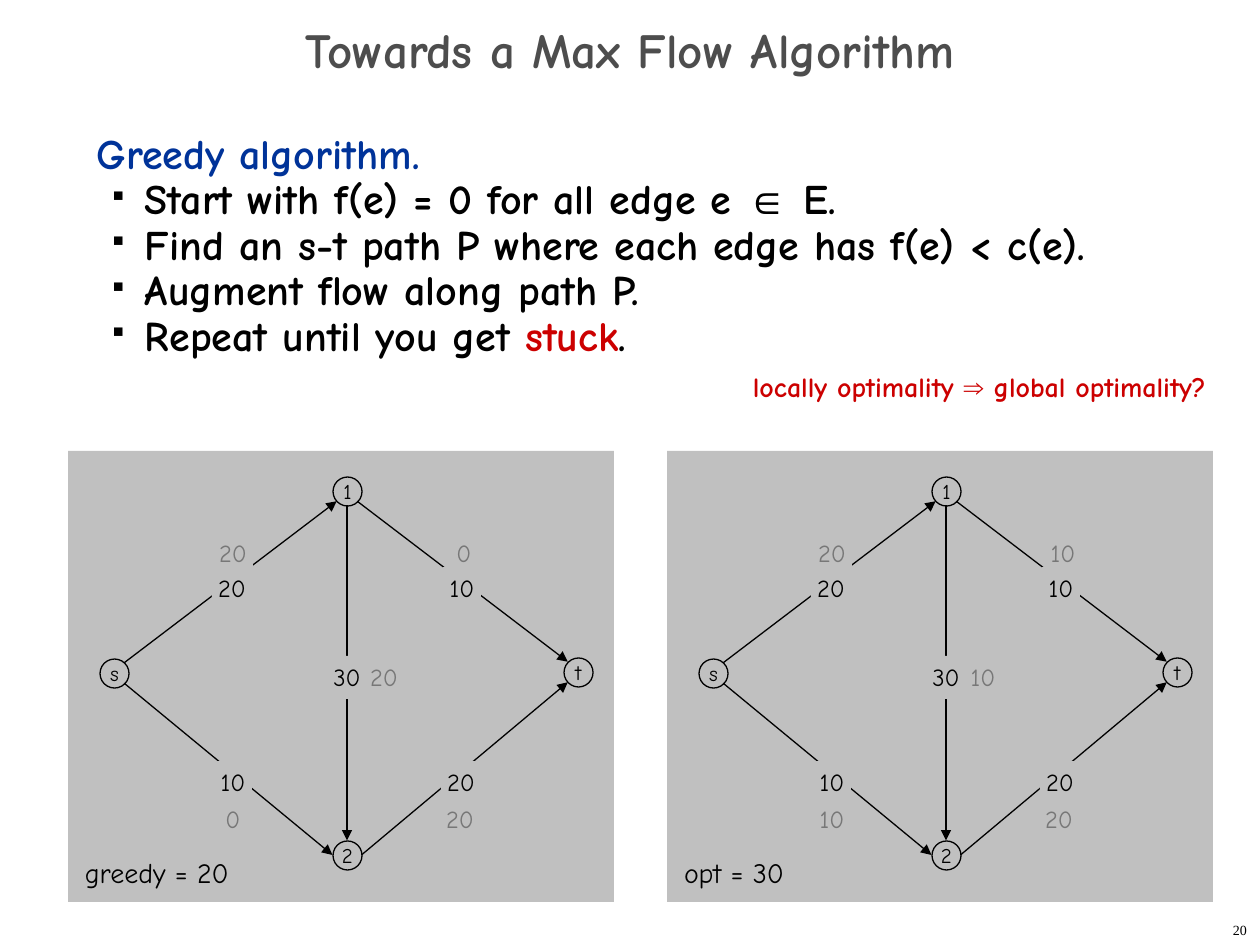
"""Build a slide comparing a greedy flow with an optimal flow."""
import math
from dataclasses import dataclass

import pptx
import pptx.dml.color
import pptx.enum.shapes
import pptx.enum.text
import pptx.oxml
import pptx.oxml.ns
import pptx.shapes.autoshape
import pptx.slide
import pptx.util

Align = pptx.enum.text.PP_ALIGN
Anchor = pptx.enum.text.MSO_ANCHOR
Preset = pptx.enum.shapes.MSO_SHAPE
EMU_PER_PX = 914400 / 126


@dataclass(frozen=True)
class Theme:
    font: str = "Comic Neue"
    symbol_font: str = "Arial"
    number_font: str = "Times New Roman"
    black: str = "000000"
    gray: str = "777777"
    panel: str = "C0C0C0"
    title: str = "4D4D4D"
    blue: str = "003399"
    red: str = "CC0000"
    title_size: int = 28
    body_size: int = 24
    note_size: int = 16
    label_size: int = 14
    node_size: int = 12
    number_size: int = 8
    leading: int = 26
    line_width: float = 0.75


THEME = Theme()


@dataclass(frozen=True)
class Run:
    text: str
    color: str = THEME.black
    size: int = THEME.label_size
    font: str = THEME.font
    bold: bool = False


@dataclass(frozen=True)
class Box:
    left: int
    top: int
    width: int
    height: int


@dataclass(frozen=True)
class Node:
    name: str
    x: int
    y: int


@dataclass(frozen=True)
class Edge:
    start: str
    start_angle: int
    end: str
    end_angle: int


@dataclass(frozen=True)
class Label:
    center: int
    top: int


@dataclass(frozen=True)
class Panel:
    left: int
    caption: str
    flows: tuple[str, ...]


PANEL_TOP, PANEL_WIDTH, PANEL_HEIGHT = 451, 546, 451
NODE_DIAMETER, LABEL_HEIGHT = 29, 43
LABEL_WIDTHS = {"0": 28, "10": 38, "20": 40, "30": 40}
NODES = (Node("s", 46, 222), Node("1", 279, 40), Node("2", 279, 404), Node("t", 510, 221))
EDGES = (
    Edge("s", -45, "1", 135),
    Edge("s", 45, "2", 180),
    Edge("2", 0, "t", 135),
    Edge("1", 90, "2", -90),
    Edge("1", 45, "t", -135),
)
CAPACITIES = ("20", "10", "10", "20", "30")
CAPACITY_LABELS = (Label(164, 116), Label(394, 116), Label(165, 310), Label(393, 310), Label(279, 205))
FLOW_LABELS = (Label(165, 81), Label(396, 81), Label(165, 347), Label(392, 347), Label(316, 205))
PANELS = (
    Panel(68, "greedy = 20", ("20", "0", "0", "20", "20")),
    Panel(667, "opt = 30", ("20", "10", "10", "20", "10")),
)


def body_run(text: str, color: str = THEME.black, font: str = THEME.font) -> Run:
    return Run(text, color, THEME.body_size, font, font == THEME.font)


def note_run(text: str, font: str = THEME.font) -> Run:
    return Run(text, THEME.red, THEME.note_size, font, True)


BODY = (
    (body_run("Greedy algorithm.", THEME.blue),),
    (body_run("Start with f(e) = 0 for all edge e "), body_run("∈", font=THEME.symbol_font), body_run(" E.")),
    (body_run("Find an s-t path P where each edge has f(e) < c(e)."),),
    (body_run("Augment flow along path P."),),
    (body_run("Repeat until you get "), body_run("stuck", THEME.red), body_run(".")),
)


def px(length: float) -> pptx.util.Emu:
    return pptx.util.Emu(round(length * EMU_PER_PX))


def rgb(color: str) -> pptx.dml.color.RGBColor:
    return pptx.dml.color.RGBColor.from_string(color)


def add_runs(paragraph, runs: tuple[Run, ...]) -> None:
    for item in runs:
        run = paragraph.add_run()
        run.text = item.text
        run.font.name = item.font
        run.font.size = pptx.util.Pt(item.size)
        run.font.bold = item.bold
        run.font.color.rgb = rgb(item.color)


def add_text(slide: pptx.slide.Slide, box: Box, runs: tuple[Run, ...], align=Align.LEFT,
             anchor=Anchor.TOP, wrap: bool = False, inset: tuple[int, int] = (13, 6)):
    shape = slide.shapes.add_textbox(px(box.left), px(box.top), px(box.width), px(box.height))
    set_text(shape, runs, align, anchor, wrap, inset)
    return shape


def set_text(shape, runs: tuple[Run, ...], align, anchor, wrap: bool, inset: tuple[int, int]) -> None:
    frame = shape.text_frame
    frame.word_wrap = wrap
    frame.vertical_anchor = anchor
    frame.margin_left = frame.margin_right = px(inset[0])
    frame.margin_top = frame.margin_bottom = px(inset[1])
    frame.paragraphs[0].alignment = align
    add_runs(frame.paragraphs[0], runs)


def add_filled(slide: pptx.slide.Slide, preset, box: Box, outlined: bool = False) -> pptx.shapes.autoshape.Shape:
    shape = slide.shapes.add_shape(preset, px(box.left), px(box.top), px(box.width), px(box.height))
    shape.shadow.inherit = False
    shape.fill.solid()
    shape.fill.fore_color.rgb = rgb(THEME.panel)
    if outlined:
        shape.line.color.rgb = rgb(THEME.black)
        shape.line.width = pptx.util.Pt(THEME.line_width)
    else:
        shape.line.fill.background()
    return shape


def add_body(slide: pptx.slide.Slide) -> None:
    frame = add_text(slide, Box(84, 126, 1081, 746), BODY[0], wrap=True).text_frame
    for runs in BODY[1:]:
        paragraph = frame.add_paragraph()
        paragraph.level = 1
        add_runs(paragraph, runs)
        properties = paragraph._p.get_or_add_pPr()
        properties.set("marL", str(px(48)))
        properties.set("indent", str(px(-32)))
        for tag, value in (("buSzPct", {"val": "35000"}), ("buChar", {"char": "■"})):
            properties.append(properties.makeelement(pptx.oxml.ns.qn(f"a:{tag}"), value))
    for paragraph in frame.paragraphs:
        paragraph.line_spacing = pptx.util.Pt(THEME.leading)


def add_arrow(slide: pptx.slide.Slide, start: tuple[float, float], end: tuple[float, float]) -> None:
    connector = slide.shapes.add_connector(
        pptx.enum.shapes.MSO_CONNECTOR.STRAIGHT, *map(px, start), *map(px, end))
    connector.line.color.rgb = rgb(THEME.black)
    connector.line.width = pptx.util.Pt(THEME.line_width)
    line = connector.line._get_or_add_ln()
    line.append(line.makeelement(pptx.oxml.ns.qn("a:tailEnd"), {"type": "triangle"}))
    properties = connector._element.spPr
    properties.append(properties.makeelement(pptx.oxml.ns.qn("a:effectLst"), {}))


def rim_point(panel: Panel, node: Node, angle: int) -> tuple[float, float]:
    radius, turn = NODE_DIAMETER / 2, math.radians(angle)
    return (panel.left + node.x + radius * math.cos(turn), PANEL_TOP + node.y + radius * math.sin(turn))


def add_label(slide: pptx.slide.Slide, panel: Panel, label: Label, text: str, color: str) -> None:
    width = LABEL_WIDTHS[text]
    box = Box(panel.left + label.center - width // 2, PANEL_TOP + label.top, width, LABEL_HEIGHT)
    shape = add_filled(slide, Preset.RECTANGLE, box)
    set_text(shape, (Run(text, color),), Align.CENTER, Anchor.TOP, False, (6, 6))


def add_panel(slide: pptx.slide.Slide, panel: Panel) -> None:
    add_filled(slide, Preset.RECTANGLE, Box(panel.left, PANEL_TOP, PANEL_WIDTH, PANEL_HEIGHT))
    add_text(slide, Box(panel.left - 2, PANEL_TOP + 392, 231, 59),
             (Run(panel.caption, size=THEME.note_size),), inset=(19, 13))
    for node in NODES:
        box = Box(panel.left + node.x - NODE_DIAMETER // 2, PANEL_TOP + node.y - NODE_DIAMETER // 2,
                  NODE_DIAMETER, NODE_DIAMETER)
        shape = add_filled(slide, Preset.OVAL, box, outlined=True)
        set_text(shape, (Run(node.name, size=THEME.node_size),), Align.CENTER, Anchor.MIDDLE, False, (13, 6))
    nodes = {node.name: node for node in NODES}
    for edge in EDGES:
        add_arrow(slide, rim_point(panel, nodes[edge.start], edge.start_angle),
                  rim_point(panel, nodes[edge.end], edge.end_angle))
    for labels, values, color in ((CAPACITY_LABELS, CAPACITIES, THEME.black),
                                  (FLOW_LABELS, panel.flows, THEME.gray)):
        for label, value in zip(labels, values):
            add_label(slide, panel, label, value, color)


def main() -> None:
    presentation = pptx.Presentation()
    presentation.slide_width, presentation.slide_height = px(1260), px(945)
    slide = presentation.slides.add_slide(presentation.slide_layouts[6])
    add_text(slide, Box(0, 17, 1260, 63),
             (Run("Towards a Max Flow Algorithm", THEME.title, THEME.title_size, bold=True),),
             Align.CENTER, Anchor.MIDDLE, True)
    add_body(slide)
    for panel in PANELS:
        add_panel(slide, panel)
    add_text(slide, Box(740, 364, 481, 47),
             (note_run("locally optimality "), note_run("⇒", THEME.symbol_font), note_run(" global optimality?")))
    add_text(slide, Box(998, 914, 262, 31),
             (Run("20", size=THEME.number_size, font=THEME.number_font),), Align.RIGHT, Anchor.MIDDLE, True)
    presentation.save("out.pptx")


if __name__ == "__main__":
    main()
